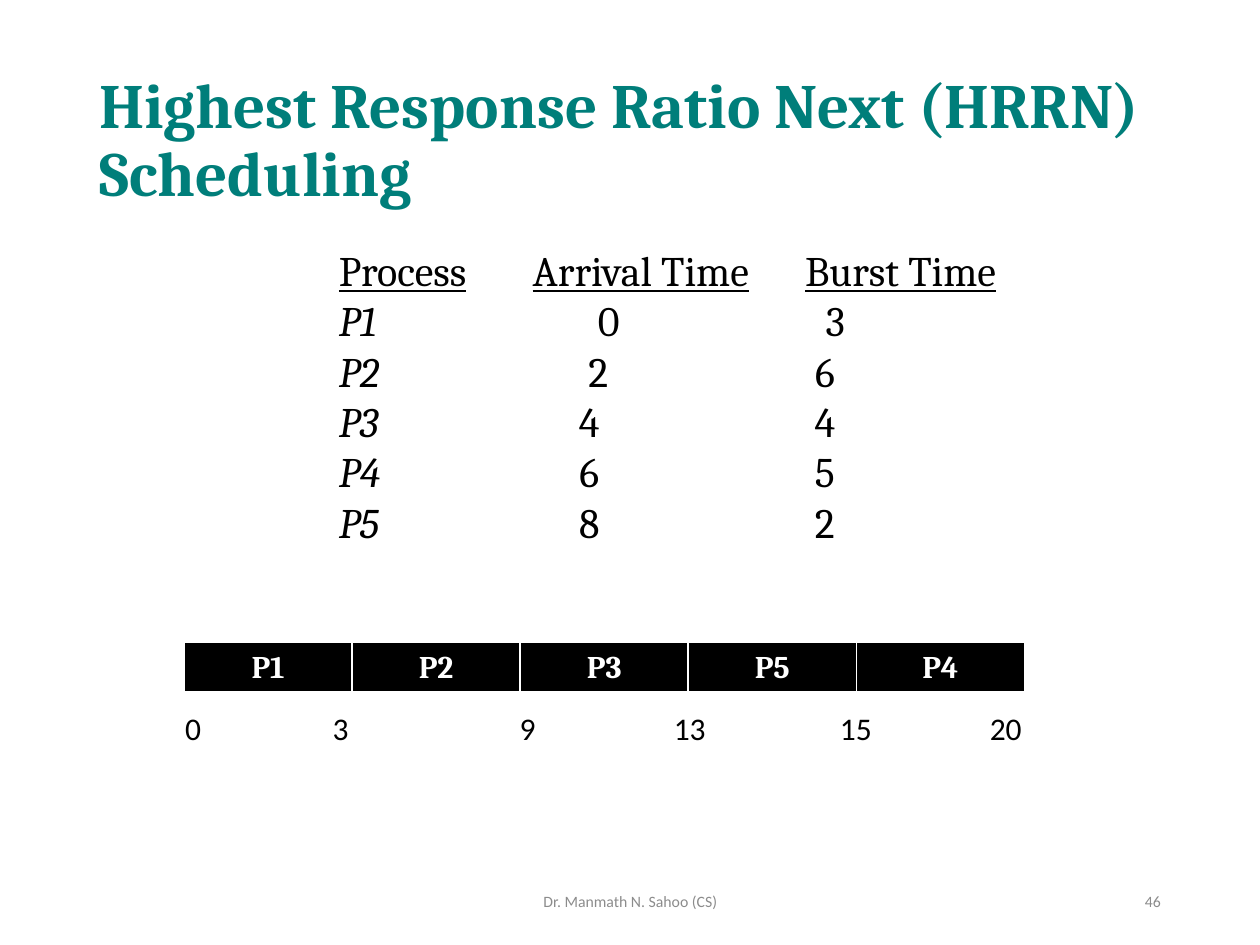
from lxml import etree
from pptx import Presentation
from pptx import util as u
from pptx.dml import color
from pptx.enum import text as t
from pptx.oxml import ns

COLORS = {"title": "007E7A", "text": "000000", "footer": "8C8C8C", "white": "FFFFFF", "bar": "000000"}
HEADINGS = ("Process", "Arrival Time", "Burst Time")
PROCESSES = (("P1", 0, 3), ("P2", 2, 6), ("P3", 4, 4), ("P4", 6, 5), ("P5", 8, 2))
VALUE_TABS = ((5.44, 10.01), (5.23, 9.8), (5.05, 9.8), (5.05, 9.8), (5.05, 9.8))
BAR_ORDER = ("P1", "P2", "P3", "P5", "P4")
TIMES = ("0", "3", "9", "13", "15", "20")
TIME_WIDTHS = (2.97, 1.42, 3.18, 3.43, 3.35, 3.02)


def write(paragraph, content, size=18, font="Cambria", fill="text", align=None, **styles):
    run = paragraph.add_run()
    run.text = content
    run.font.size = u.Pt(size)
    run.font.name = font
    run.font.color.rgb = color.RGBColor.from_string(COLORS[fill])
    for name, value in styles.items():
        setattr(run.font, name, value)
    if align is not None:
        paragraph.alignment = align


def add_box(slide, box, anchor=t.MSO_ANCHOR.MIDDLE):
    frame = slide.shapes.add_textbox(*map(u.Cm, box)).text_frame
    frame.word_wrap = True
    frame.vertical_anchor = anchor
    return frame


def add_title(slide, box):
    paragraph = add_box(slide, box).paragraphs[0]
    paragraph.line_spacing = 0.9
    write(paragraph, "Highest Response Ratio Next (HRRN) Scheduling", size=36, fill="title", bold=True)


def add_footer(slide, box, content, align):
    write(add_box(slide, box).paragraphs[0], content, size=9, font="Calibri", fill="footer", align=align)


def add_tabs(paragraph, positions, align):
    properties = paragraph._p.get_or_add_pPr()
    tabs = etree.SubElement(properties, ns.qn("a:tabLst"))
    for position in positions:
        etree.SubElement(tabs, ns.qn("a:tab"), pos=str(u.Cm(position)), algn=align)


def add_process_list(slide, box):
    frame = add_box(slide, box, t.MSO_ANCHOR.TOP)
    header = frame.paragraphs[0]
    header.line_spacing = 1.1
    add_tabs(header, (3.91, 9.4), "l")
    for index, heading in enumerate(HEADINGS):
        if index:
            write(header, "\t", size=24)
        write(header, heading, size=24, underline=True)
    for (name, arrival, burst), positions in zip(PROCESSES, VALUE_TABS):
        paragraph = frame.add_paragraph()
        add_tabs(paragraph, positions, "ctr")
        write(paragraph, name, size=24, italic=True)
        write(paragraph, f"\t{arrival}\t{burst}", size=24)


def add_row(slide, box, widths):
    table = slide.shapes.add_table(1, len(widths), *map(u.Cm, box)).table
    table.first_row = table.horz_banding = False
    table.rows[0].height = u.Cm(box[3])
    for column, width in zip(table.columns, widths):
        column.width = u.Cm(width)
    for cell in table.rows[0].cells:
        cell.vertical_anchor = t.MSO_ANCHOR.MIDDLE
        cell.fill.background()
    return table.rows[0].cells


def add_borders(cell):
    properties = cell._tc.get_or_add_tcPr()
    for index, (side, width) in enumerate((("lnL", 1), ("lnR", 1), ("lnT", 1), ("lnB", 3))):
        line = etree.Element(ns.qn(f"a:{side}"), w=str(u.Pt(width)))
        fill = etree.SubElement(line, ns.qn("a:solidFill"))
        etree.SubElement(fill, ns.qn("a:srgbClr"), val=COLORS["white"])
        properties.insert(index, line)


def add_gantt_bar(slide, box):
    widths = [box[2] / len(BAR_ORDER)] * len(BAR_ORDER)
    for cell, name in zip(add_row(slide, box, widths), BAR_ORDER):
        cell.fill.solid()
        cell.fill.fore_color.rgb = color.RGBColor.from_string(COLORS["bar"])
        add_borders(cell)
        write(cell.text_frame.paragraphs[0], name, fill="white", align=t.PP_ALIGN.CENTER, bold=True)


def add_time_scale(slide, box):
    for index, (cell, time) in enumerate(zip(add_row(slide, box, TIME_WIDTHS), TIMES)):
        align = t.PP_ALIGN.LEFT if index < 2 else t.PP_ALIGN.RIGHT
        write(cell.text_frame.paragraphs[0], time, font="Calibri", align=align)


def main():
    presentation = Presentation()
    presentation.slide_width = u.Cm(25.4)
    presentation.slide_height = u.Cm(19.05)
    slide = presentation.slides.add_slide(presentation.slide_layouts[6])
    add_title(slide, (1.75, 1.02, 21.9, 3.68))
    add_footer(slide, (8.41, 17.65, 8.59, 1.02), "Dr. Manmath N. Sahoo (CS)", t.PP_ALIGN.CENTER)
    add_footer(slide, (17.93, 17.65, 5.72, 1.02), "46", t.PP_ALIGN.RIGHT)
    add_time_scale(slide, (3.48, 14.2, sum(TIME_WIDTHS), 1.03))
    add_gantt_bar(slide, (3.71, 12.95, 16.94, 1.03))
    add_process_list(slide, (6.58, 4.7, 14.22, 6.5))
    presentation.save("out.pptx")


if __name__ == "__main__":
    main()
